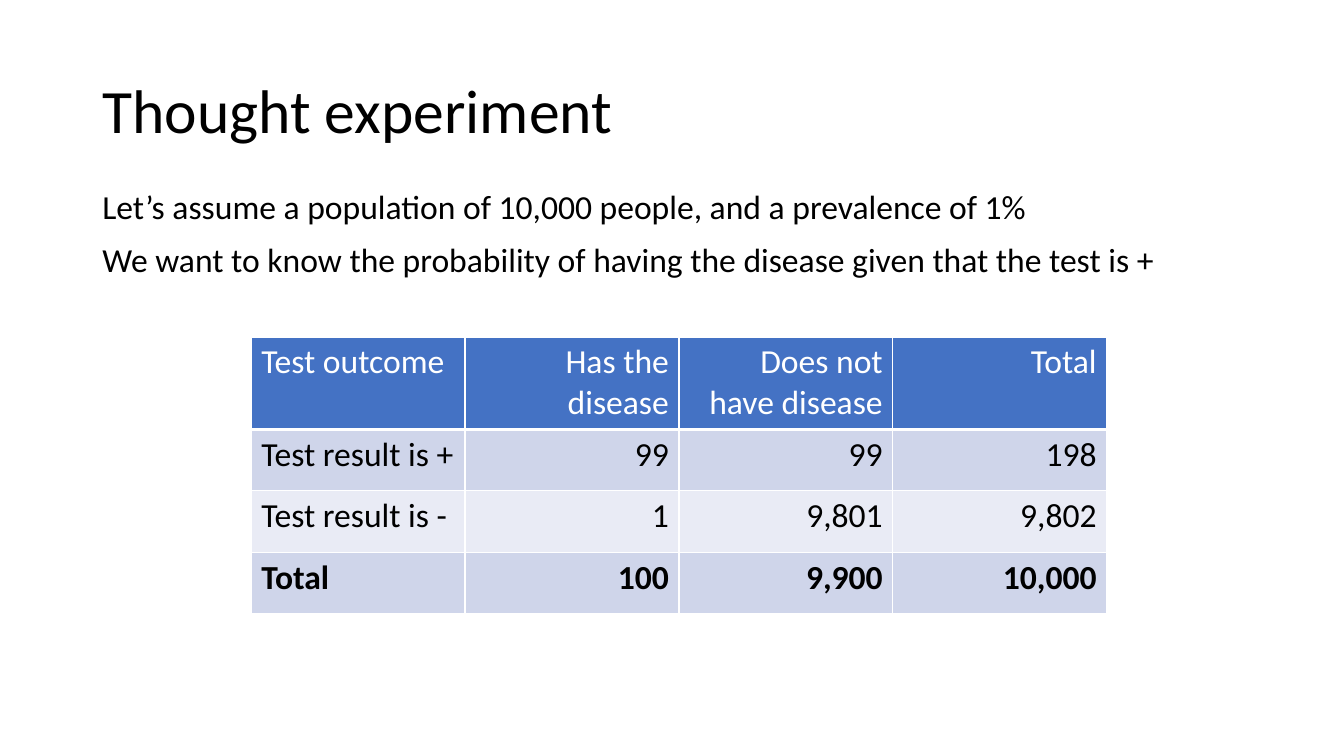
from dataclasses import dataclass

from lxml import etree
from pptx import Presentation
from pptx import util as u
from pptx.dml import color
from pptx.enum import text
from pptx.oxml import ns


@dataclass(frozen=True)
class Theme:
    font: str = "Calibri"
    title_size: int = 44
    body_size: int = 24
    ink: str = "000000"
    white: str = "FFFFFF"
    header: str = "4472C4"
    bands: tuple = ("CFD5EA", "E9EBF5")
    rule: float = 1
    header_rule: float = 3


THEME = Theme()

STATEMENTS = [
    # text, top and width in cm
    ("Let’s assume a population of 10,000 people, and a prevalence of 1%", 4.55, 27.1),
    ("We want to know the probability of having the disease given that the test is +", 5.9, 28.83),
]

OUTCOMES = [
    ("Test outcome", "Has the disease", "Does not have disease", "Total"),
    ("Test result is +", "99", "99", "198"),
    ("Test result is -", "1", "9,801", "9,802"),
    ("Total", "100", "9,900", "10,000"),
]


def style(para, size, ink=THEME.ink, bold=False, align=text.PP_ALIGN.LEFT):
    para.alignment = align
    para.font.name = THEME.font
    para.font.size = u.Pt(size)
    para.font.bold = bold
    para.font.color.rgb = color.RGBColor.from_string(ink)


def add_title(page, words):
    title = page.shapes.title
    title.left, title.top, title.width, title.height = u.Cm(2.33), u.Cm(1.01), u.Cm(29.21), u.Cm(3.68)
    frame = title.text_frame
    frame.text = words
    frame.vertical_anchor = text.MSO_ANCHOR.MIDDLE
    frame.auto_size = text.MSO_AUTO_SIZE.NONE
    para = frame.paragraphs[0]
    para.line_spacing = 0.9
    style(para, THEME.title_size)


def add_statement(page, words, top, width):
    box = page.shapes.add_textbox(u.Cm(2.33), u.Cm(top), u.Cm(width), u.Cm(1.28))
    frame = box.text_frame
    frame.word_wrap = True
    frame.auto_size = text.MSO_AUTO_SIZE.SHAPE_TO_FIT_TEXT
    frame.text = words
    style(frame.paragraphs[0], THEME.body_size)


def set_borders(cell, bottom):
    properties = cell._tc.get_or_add_tcPr()
    for side, width in zip("LRTB", (THEME.rule, THEME.rule, THEME.rule, bottom)):
        line = etree.SubElement(properties, ns.qn(f"a:ln{side}"), w=str(u.Pt(width)))
        fill = etree.SubElement(line, ns.qn("a:solidFill"))
        etree.SubElement(fill, ns.qn("a:srgbClr"), val=THEME.white)


def format_cell(cell, words, row, column):
    is_header = row == 0
    set_borders(cell, THEME.header_rule if is_header else THEME.rule)
    cell.fill.solid()
    fill = THEME.header if is_header else THEME.bands[(row - 1) % 2]
    cell.fill.fore_color.rgb = color.RGBColor.from_string(fill)
    cell.text = words
    style(
        cell.text_frame.paragraphs[0],
        THEME.body_size,
        ink=THEME.white if is_header else THEME.ink,
        bold=row == len(OUTCOMES) - 1,
        align=text.PP_ALIGN.RIGHT if column else text.PP_ALIGN.LEFT,
    )


def add_outcome_table(page):
    row_heights = [2.33] + [1.55] * (len(OUTCOMES) - 1)
    table = page.shapes.add_table(
        len(OUTCOMES), len(OUTCOMES[0]),
        u.Cm(6.33), u.Cm(8.49), u.Cm(21.56), u.Cm(sum(row_heights)),
    ).table
    for row, (height, values) in enumerate(zip(row_heights, OUTCOMES)):
        table.rows[row].height = u.Cm(height)
        for column, words in enumerate(values):
            format_cell(table.cell(row, column), words, row, column)


def main():
    deck = Presentation()
    deck.slide_width, deck.slide_height = u.Cm(33.87), u.Cm(19.05)
    page = deck.slides.add_slide(deck.slide_layouts.get_by_name("Title Only"))

    # Heading and assumptions
    add_title(page, "Thought experiment")
    for words, top, width in STATEMENTS:
        add_statement(page, words, top, width)

    # Test results by disease status
    add_outcome_table(page)

    deck.save("out.pptx")


if __name__ == "__main__":
    main()
